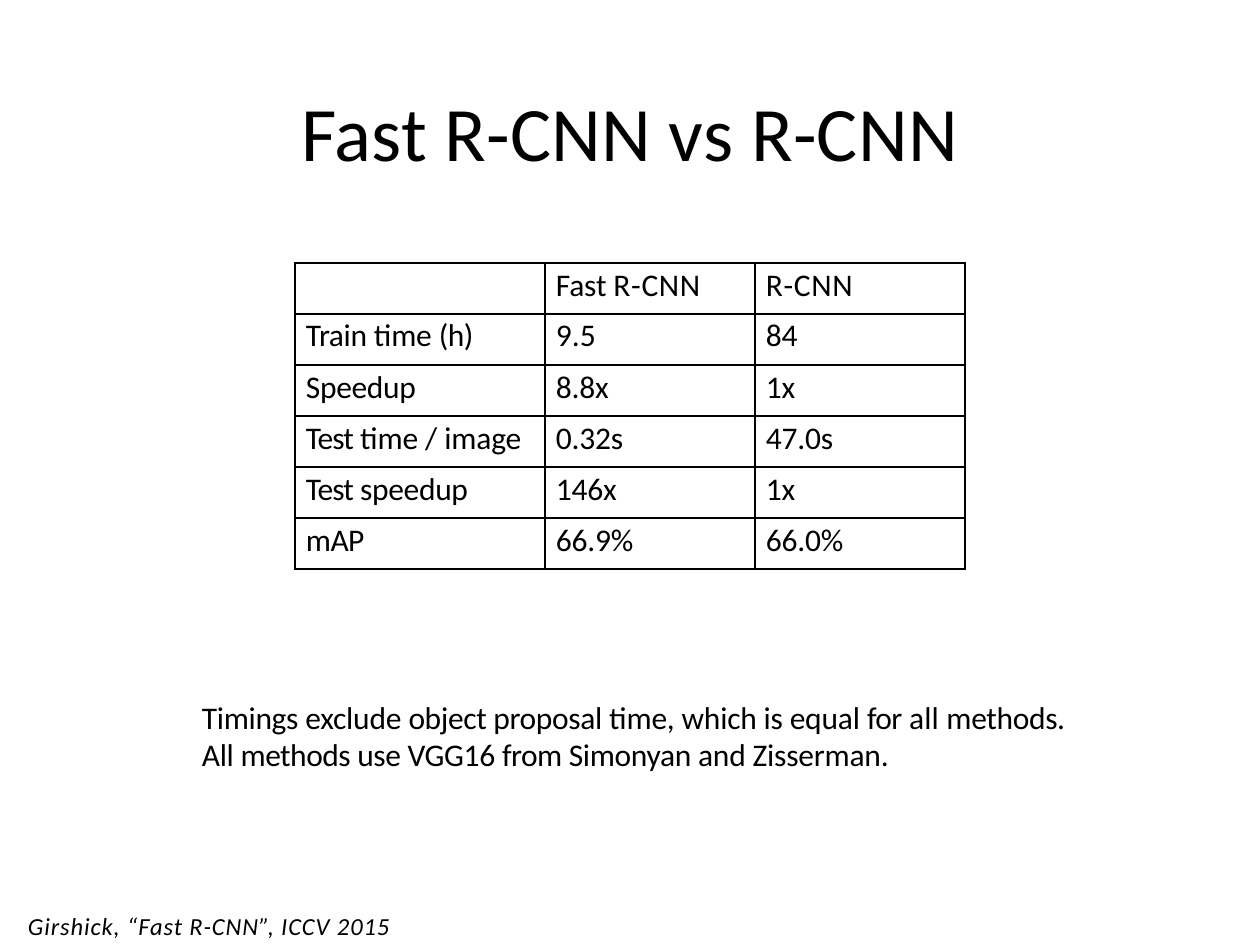
from lxml import etree
from pptx import Presentation
from pptx import util as u
from pptx.dml.color import RGBColor
from pptx.enum import text
from pptx.oxml.ns import qn

EMU_PER_PX = 914400 / 126
COLORS = {"ink": "000000", "paper": "FFFFFF"}
FONT = "Calibri"

COLUMN_WIDTHS = (250, 210, 210)
ROW_HEIGHT = 51
# Each cell is a list of (text, letter spacing in points) runs.
ROWS = [
    [[], [("Fast ", -0.1), ("R-CNN", 0.4)], [("R-CNN", 0.4)]],
    [[("Train ", -0.2), ("time ", -0.1), ("(h)", -0.3)], [("9.5", 0)], [("84", -0.1)]],
    [[("Speedup", -0.2)], [("8.8x", -0.1)], [("1x", -0.1)]],
    [[("Test ", -0.5), ("time ", -0.1), ("/ ", 0), ("image", -0.1)],
     [("0.32s", -0.1)], [("47.0s", -0.1)]],
    [[("Test ", -0.5), ("speedup", -0.2)], [("146x", -0.1)], [("1x", -0.1)]],
    [[("mAP", -0.3)], [("66.9%", -0.1)], [("66.0%", -0.1)]],
]
NOTE = [
    ("Timings ", -0.2), ("exclude ", -0.1), ("object proposal ", -0.2),
    ("time, which is equal ", -0.1), ("for ", -0.3), ("all ", 0.1),
    ("methods. All ", -0.2), ("methods ", -0.3), ("use VGG16 ", -0.2),
    ("from ", -0.3), ("Simonyan ", -0.2), ("and Zisserman.", -0.1),
]


def px(length):
    return u.Emu(round(length * EMU_PER_PX))


def color(name):
    return RGBColor.from_string(COLORS[name])


def add_runs(paragraph, runs, size, italic=False):
    for content, spacing in runs:
        run = paragraph.add_run()
        run.text = content
        run.font.name = FONT
        run.font.size = u.Pt(size)
        run.font.italic = italic
        run.font.color.rgb = color("ink")
        run.font._element.set("spc", str(round(spacing * 100)))


def set_margins(target, left=0, top=0):
    """Set the insets of a text frame or a table cell."""
    target.margin_left, target.margin_top = px(left), px(top)
    target.margin_right = target.margin_bottom = 0


def place(shape, left, top, width, height):
    shape.left, shape.top = px(left), px(top)
    shape.width, shape.height = px(width), px(height)


def set_borders(cell):
    properties = cell._tc.get_or_add_tcPr()
    for index, side in enumerate(("lnL", "lnR", "lnT", "lnB")):
        line = etree.Element(qn(f"a:{side}"), w=str(u.Pt(1)))
        fill = etree.SubElement(line, qn("a:solidFill"))
        etree.SubElement(fill, qn("a:srgbClr"), val=COLORS["ink"])
        properties.insert(index, line)


def add_title(slide):
    title = slide.shapes.title
    place(title, 63, 54, 1134, 123)
    frame = title.text_frame
    set_margins(frame, top=30)
    frame.auto_size = text.MSO_AUTO_SIZE.NONE
    frame.vertical_anchor = text.MSO_ANCHOR.MIDDLE
    paragraph = frame.paragraphs[0]
    paragraph.alignment = text.PP_ALIGN.CENTER
    add_runs(paragraph, [("Fast R-CNN vs R-CNN", 0.1)], 44)


def add_comparison_table(slide, left, top):
    frame = slide.shapes.add_table(
        len(ROWS), len(COLUMN_WIDTHS), px(left), px(top),
        px(sum(COLUMN_WIDTHS)), px(ROW_HEIGHT * len(ROWS)))
    table = frame.table
    table.first_row = table.horz_banding = False
    for column, width in zip(table.columns, COLUMN_WIDTHS):
        column.width = px(width)
    for row_index, row in enumerate(ROWS):
        table.rows[row_index].height = px(ROW_HEIGHT)
        for column_index, runs in enumerate(row):
            cell = table.cell(row_index, column_index)
            set_margins(cell, left=11, top=2 if row_index == 1 else 4)
            cell.fill.background()
            set_borders(cell)
            add_runs(cell.text_frame.paragraphs[0], runs, 18)


def add_text(slide, box, runs, size, italic=False, alignment=text.PP_ALIGN.LEFT):
    """Add a wrapped text box without insets and return its paragraph."""
    frame = slide.shapes.add_textbox(*map(px, box)).text_frame
    frame.word_wrap = True
    set_margins(frame)
    paragraph = frame.paragraphs[0]
    paragraph.alignment = alignment
    add_runs(paragraph, runs, size, italic)
    return paragraph


def main():
    presentation = Presentation()
    presentation.slide_width, presentation.slide_height = px(1260), px(945)
    slide = presentation.slides.add_slide(presentation.slide_layouts[5])
    slide.background.fill.solid()
    slide.background.fill.fore_color.rgb = color("paper")

    add_title(slide)
    add_comparison_table(slide, 295, 263)
    note = add_text(slide, (202, 699, 879, 74), NOTE, 18)
    note.line_spacing = u.Pt(21)
    add_text(slide, (5, 911, 408, 30), [("Girshick, “Fast R-CNN”, ICCV 2015", 0.5)],
             14, italic=True, alignment=text.PP_ALIGN.CENTER)
    presentation.save("out.pptx")


if __name__ == "__main__":
    main()
